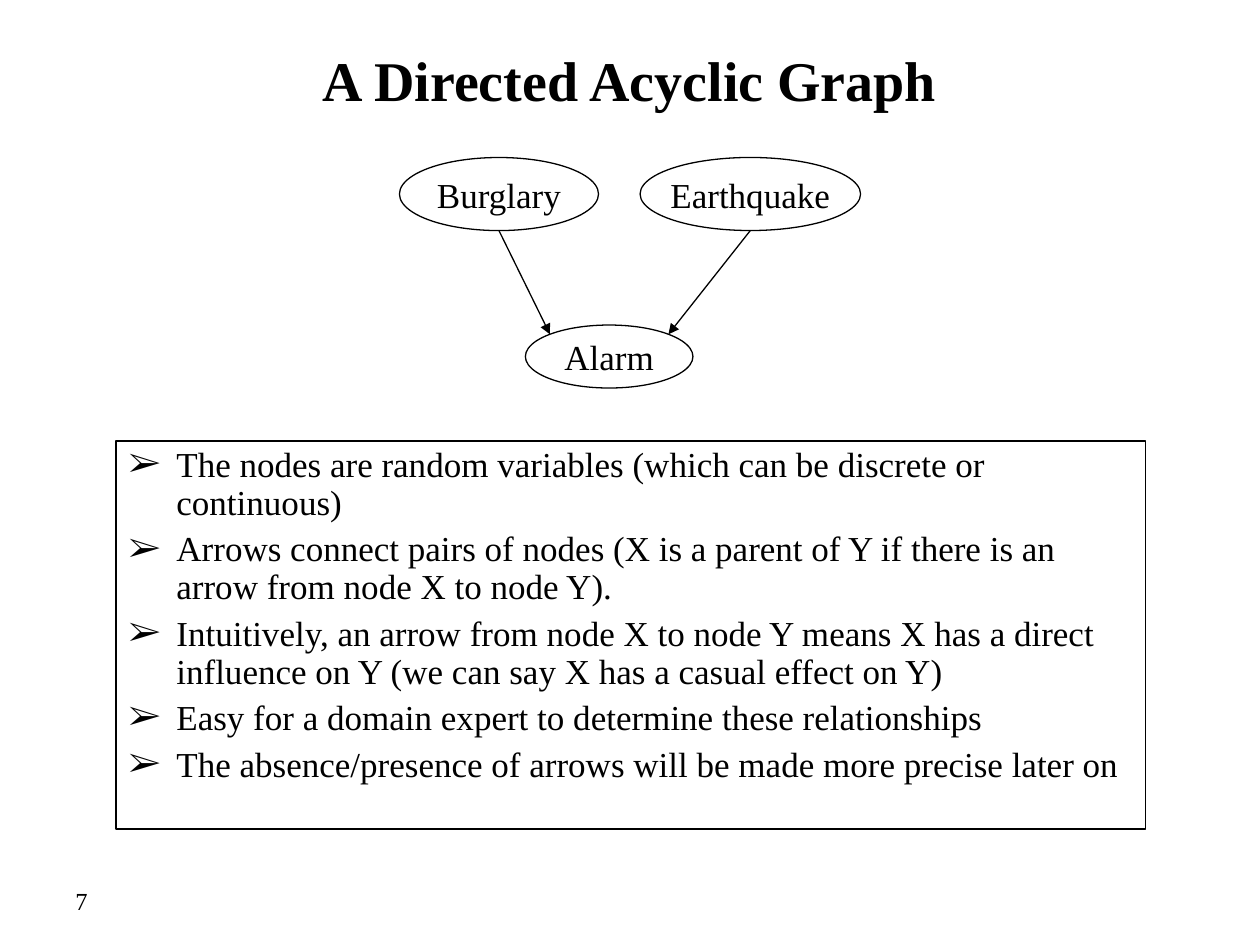
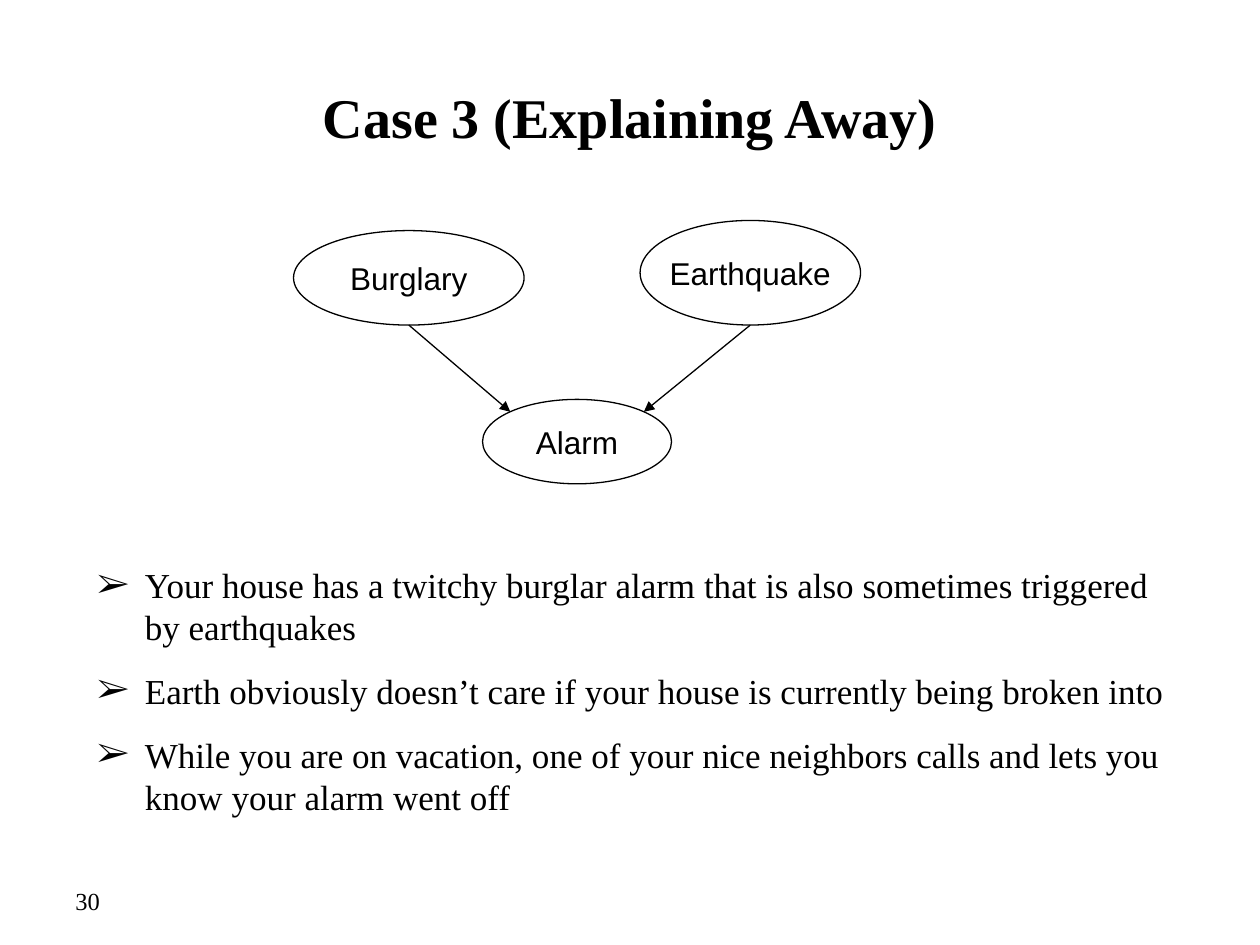
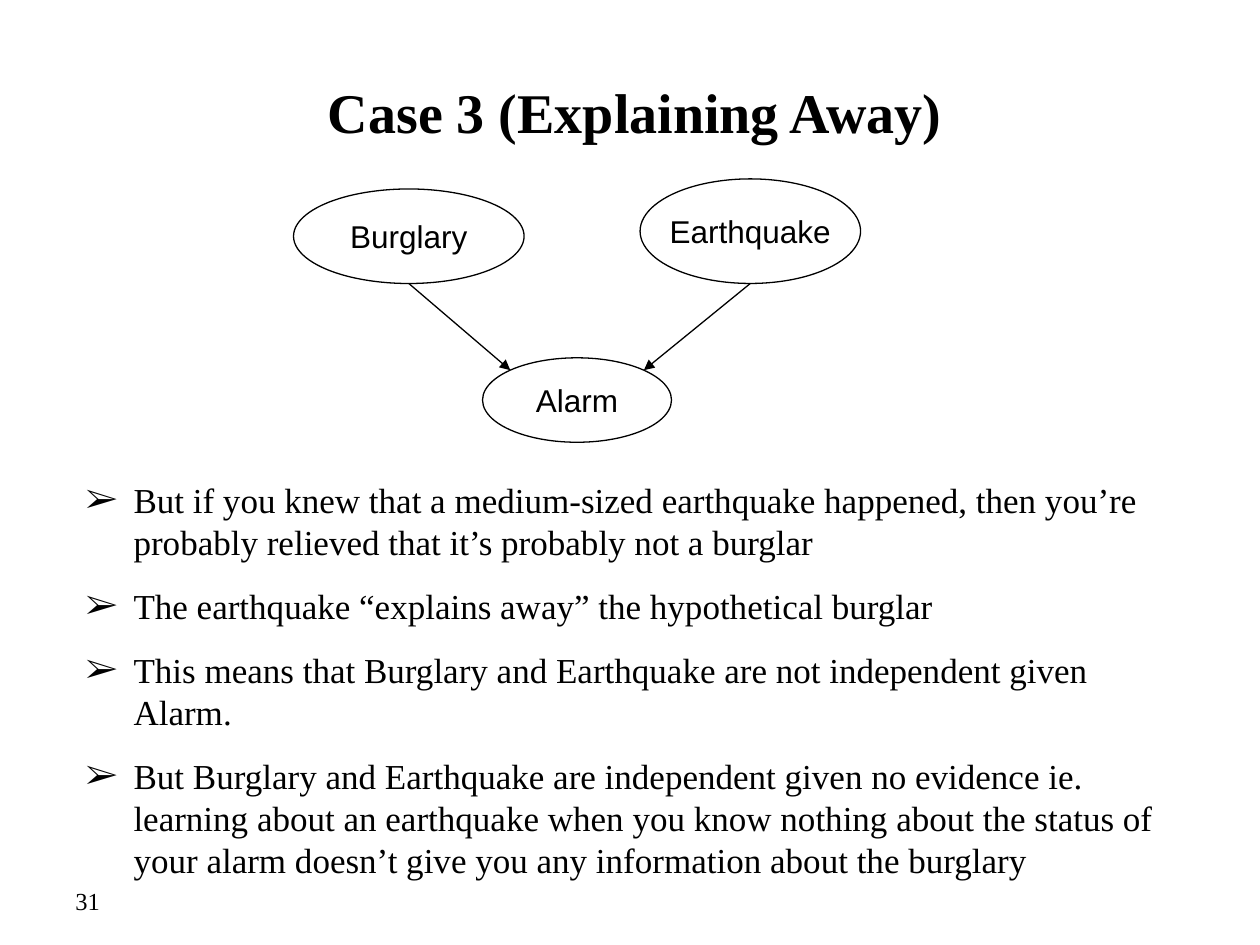
from math import sqrt

from lxml.etree import SubElement
from pptx import Presentation
from pptx.dml.color import RGBColor
from pptx.enum.shapes import MSO_CONNECTOR, MSO_SHAPE
from pptx.enum.text import MSO_ANCHOR, MSO_AUTO_SIZE, PP_ALIGN
from pptx.oxml.ns import qn
from pptx.util import Inches, Pt

BLACK = RGBColor(0x00, 0x00, 0x00)
WHITE = RGBColor(0xFF, 0xFF, 0xFF)
SERIF = "Times New Roman"
SANS = "Arial"
LINE_WIDTH = Pt(0.75)
BULLET = "➢"
BULLET_INDENT = Inches(0.38)

GRAPH_POINTS = [
    "The nodes are random variables (which can be discrete or continuous)",
    "Arrows connect pairs of nodes (X is a parent of Y if there is an arrow from node X to node Y).",
    "Intuitively, an arrow from node X to node Y means X has a direct influence on Y "
    "(we can say X has a casual effect on Y)",
    "Easy for a domain expert to determine these relationships",
    "The absence/presence of arrows will be made more precise later on",
]
ALARM_POINTS = [
    "Your house has a twitchy burglar alarm that is also sometimes triggered by earthquakes",
    "Earth obviously doesn’t care if your house is currently being broken into",
    "While you are on vacation, one of your nice neighbors calls and lets you know your alarm went off",
]
EXPLAINING_POINTS = [
    "But if you knew that a medium-sized earthquake happened, then you’re probably relieved "
    "that it’s probably not a burglar",
    "The earthquake “explains away” the hypothetical burglar",
    "This means that Burglary and Earthquake are not independent given Alarm.",
    "But Burglary and Earthquake are independent given no evidence ie. learning about an earthquake "
    "when you know nothing about the status of your alarm doesn’t give you any information "
    "about the burglary",
]


def place(element, box):
    element.left, element.top, element.width, element.height = map(Inches, box)


def add_run(paragraph, text, size, font=SERIF, bold=False):
    run = paragraph.add_run()
    run.text = text
    run.font.name = font
    run.font.size = Pt(size)
    run.font.bold = bold
    run.font.color.rgb = BLACK


def draw_outline(line):
    line.color.rgb = BLACK
    line.width = LINE_WIDTH


def add_bullet(paragraph):
    properties = paragraph._p.get_or_add_pPr()
    properties.set("marL", str(BULLET_INDENT))
    properties.set("indent", str(-BULLET_INDENT))
    color = SubElement(properties, qn("a:buClr"))
    SubElement(color, qn("a:srgbClr"), val=str(BLACK))
    SubElement(properties, qn("a:buFont"), typeface=SERIF)
    SubElement(properties, qn("a:buChar"), char=BULLET)


def add_titled_slide(deck, title, title_box, number):
    slide = deck.slides.add_slide(deck.slide_layouts[1])
    slide.background.fill.solid()
    slide.background.fill.fore_color.rgb = WHITE

    heading = slide.shapes.title
    place(heading, title_box)
    heading.text_frame.auto_size = MSO_AUTO_SIZE.NONE
    heading.text_frame.vertical_anchor = MSO_ANCHOR.MIDDLE
    heading_line = heading.text_frame.paragraphs[0]
    heading_line.alignment = PP_ALIGN.CENTER
    add_run(heading_line, title, 32, bold=True)

    footer = slide.shapes.add_textbox(*map(Inches, (0.5, 6.95, 2.33, 0.4))).text_frame
    footer.word_wrap = True
    footer.vertical_anchor = MSO_ANCHOR.MIDDLE
    add_run(footer.paragraphs[0], str(number), 14)
    return slide


def fill_points(slide, points, box, gap, line_spacing=1.0):
    body = slide.placeholders[1]
    place(body, box)
    frame = body.text_frame
    frame.auto_size = MSO_AUTO_SIZE.NONE
    for index, point in enumerate(points):
        paragraph = frame.add_paragraph() if index else frame.paragraphs[0]
        paragraph.space_before = Pt(gap if index else 0)
        paragraph.line_spacing = line_spacing
        add_bullet(paragraph)
        add_run(paragraph, point, 20)
    return body


def add_node(slide, label, box, font, size):
    node = slide.shapes.add_shape(MSO_SHAPE.OVAL, *map(Inches, box))
    node.shadow.inherit = False
    node.fill.background()
    draw_outline(node.line)
    frame = node.text_frame
    frame.word_wrap = False
    frame.vertical_anchor = MSO_ANCHOR.MIDDLE
    frame.paragraphs[0].alignment = PP_ALIGN.CENTER
    add_run(frame.paragraphs[0], label, size, font)
    return node


def add_arrow(slide, cause, effect):
    start_x = cause.left + cause.width // 2
    center_x = effect.left + effect.width // 2
    side = -1 if start_x < center_x else 1
    end_x = center_x + side * int(effect.width / 2 / sqrt(2))
    end_y = effect.top + int(effect.height / 2 * (1 - 1 / sqrt(2)))
    arrow = slide.shapes.add_connector(
        MSO_CONNECTOR.STRAIGHT, start_x, cause.top + cause.height, end_x, end_y
    )
    draw_outline(arrow.line)
    SubElement(arrow.line._get_or_add_ln(), qn("a:tailEnd"), type="triangle")
    SubElement(arrow._element.spPr, qn("a:effectLst"))


def add_alarm_graph(slide, burglary_box, earthquake_box, alarm_box, font, size):
    alarm = add_node(slide, "Alarm", alarm_box, font, size)
    for label, box in (("Burglary", burglary_box), ("Earthquake", earthquake_box)):
        add_arrow(slide, add_node(slide, label, box, font, size), alarm)


def add_case_slide(deck, number, title_box, graph_top, points, points_box):
    slide = add_titled_slide(deck, "Case 3 (Explaining Away)", title_box, number)
    add_alarm_graph(
        slide,
        (2.33, graph_top + 0.08, 1.83, 0.75),
        (5.08, graph_top, 1.75, 0.83),
        (3.83, graph_top + 1.42, 1.5, 0.67),
        SANS,
        18,
    )
    fill_points(slide, points, points_box, gap=12.5)


def add_graph_slide(deck):
    slide = add_titled_slide(deck, "A Directed Acyclic Graph", (0.75, 0.17, 8.5, 0.92), 7)
    body = fill_points(slide, GRAPH_POINTS, (0.92, 3.5, 8.17, 3.08), gap=5, line_spacing=0.9)
    draw_outline(body.line)
    add_alarm_graph(
        slide,
        (3.17, 1.25, 1.58, 0.58),
        (5.08, 1.25, 1.75, 0.58),
        (4.17, 2.58, 1.33, 0.5),
        SERIF,
        20,
    )


def main():
    deck = Presentation()
    deck.slide_width = Inches(10)
    deck.slide_height = Inches(7.5)
    add_graph_slide(deck)
    add_case_slide(deck, 30, (0.5, 0.3, 9, 1.25), 1.75, ALARM_POINTS, (0.67, 4.42, 8.75, 2.12))
    add_case_slide(deck, 31, (0.54, 0.42, 9, 0.92), 1.42, EXPLAINING_POINTS, (0.58, 3.75, 8.75, 3.29))
    deck.save("out.pptx")


if __name__ == "__main__":
    main()
